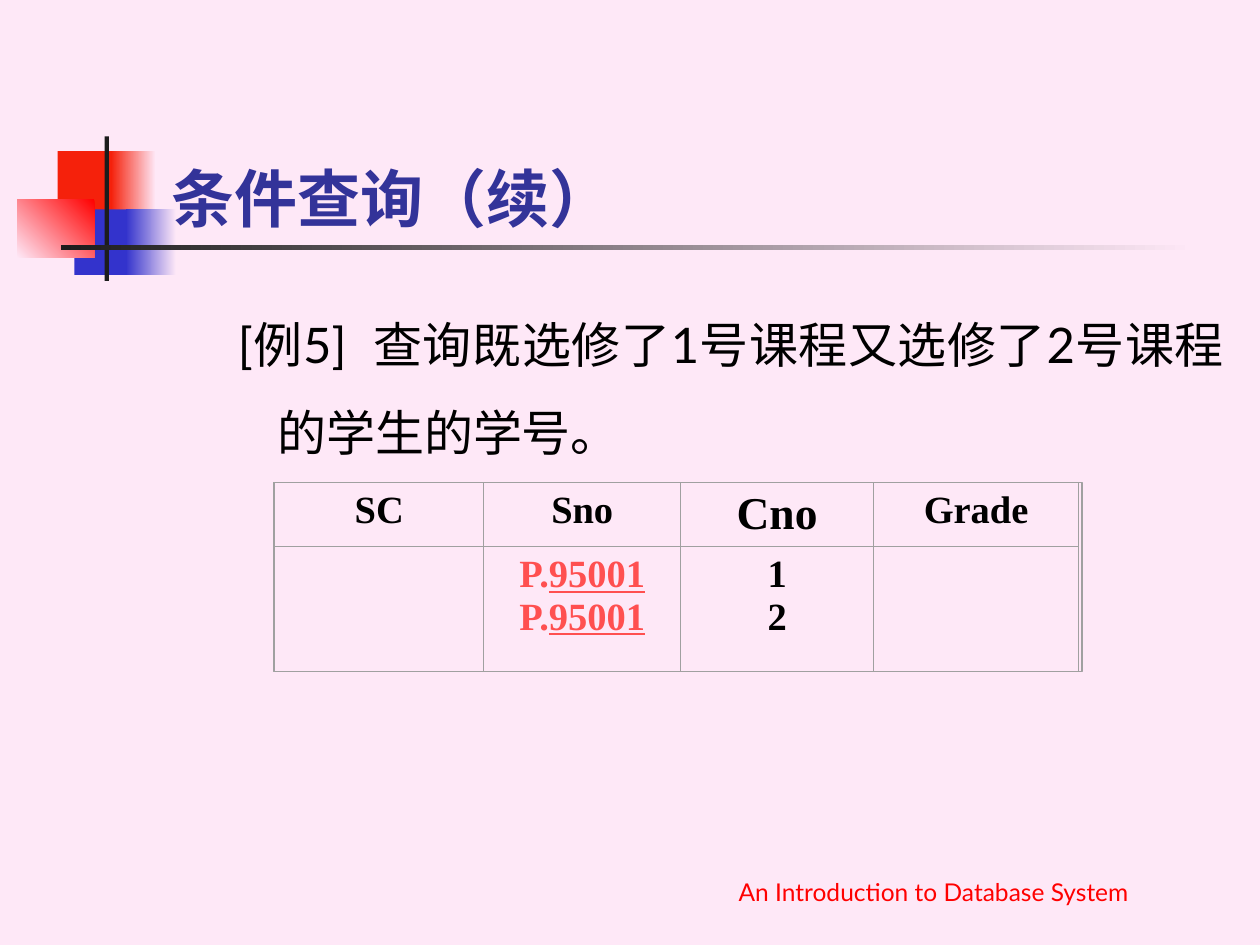
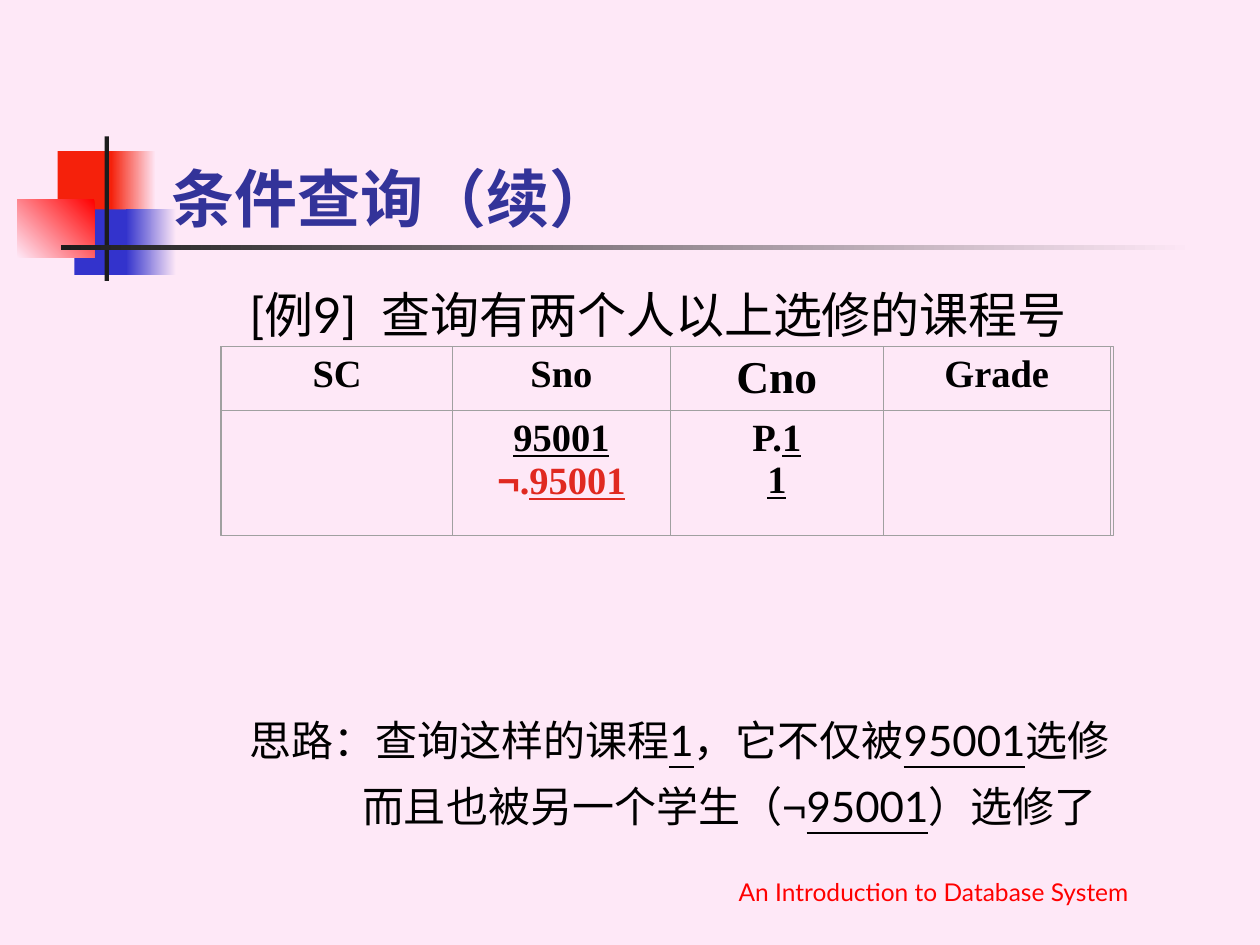
from lxml import etree
from pptx import Presentation
from pptx.dml.color import RGBColor
from pptx.enum.shapes import MSO_SHAPE
from pptx.enum.text import MSO_ANCHOR, PP_ALIGN
from pptx.oxml.ns import qn
from pptx.util import Pt

RECTANGLE = MSO_SHAPE.RECTANGLE
BOTTOM, TOP = MSO_ANCHOR.BOTTOM, MSO_ANCHOR.TOP
LEFT, CENTER, JUSTIFY = PP_ALIGN.LEFT, PP_ALIGN.CENTER, PP_ALIGN.JUSTIFY
TITLE_ONLY = 5

COLORS = {
    "background": "FEE8F7",
    "vermilion": "F5210B",
    "blue": "3333CC",
    "red": "FF0000",
    "bar": "1C1C1C",
    "title": "333399",
    "text": "000000",
    "grid": "A0A0A0",
    "coral": "FF5050",
    "negation": "E02920",
}
BODY_FONT, TABLE_FONT, SYMBOL_FONT = "Lato", "Times New Roman", "Arial"

EMBLEM = [
    (33, 86.4, 34.7, 37.4, ["vermilion"], 0),
    (63.4, 86.4, 25.6, 37.4, ["background", "vermilion"], 180),
    (42.5, 119.7, 33.4, 37.4, ["blue"], 0),
    (72, 119.7, 28.6, 37.4, ["background", "blue"], 180),
    (9.8, 113.8, 44.2, 33.4, ["red", "background"], 135),
    (59.8, 78, 2.5, 82.6, ["bar"], 0),
    (34.8, 140.2, 648, 2.5, ["background", "bar"], 180),
]

BODY_LEFT, BODY_TOP, BODY_WIDTH = 92.9, 159.1, 613.4
HANGING = -22.5
COLUMN_SHARES = (0.26, 0.245, 0.24, 0.255)
ROW_HEIGHTS = (36.7, 71.3)
HEADINGS = ("SC", "Sno", "Cno", "Grade")
UNDERLINE = {"underline": True}


def rgb(color):
    return RGBColor.from_string(COLORS[color])


def write_text(frame, paragraphs, font=BODY_FONT, size=28, color="text", bold=False,
               underline=False, align=LEFT, spacing=1, before=0, margin=0, indent=0):
    for position, pieces in enumerate(paragraphs):
        paragraph = frame.paragraphs[0] if position == 0 else frame.add_paragraph()
        paragraph.alignment = align
        paragraph.line_spacing = spacing
        paragraph.space_before = Pt(before)
        properties = paragraph._p.get_or_add_pPr()
        properties.set("marL", str(Pt(margin)))
        properties.set("indent", str(Pt(indent)))
        for piece in pieces:
            words, changes = (piece, {}) if isinstance(piece, str) else piece
            look = {"font": font, "color": color, "underline": underline, **changes}
            run = paragraph.add_run()
            run.text = words
            run.font.name = look["font"]
            run.font.size = Pt(size)
            run.font.bold = bold
            run.font.underline = look["underline"]
            run.font.color.rgb = rgb(look["color"])
            east_asian = etree.SubElement(run._r.get_or_add_rPr(), qn("a:ea"))
            east_asian.set("typeface", look["font"])


def add_text_box(slide, left, top, width, height, paragraphs, anchor=TOP, **text_format):
    frame = slide.shapes.add_textbox(Pt(left), Pt(top), Pt(width), Pt(height)).text_frame
    frame.word_wrap = True
    frame.vertical_anchor = anchor
    write_text(frame, paragraphs, **text_format)
    return frame


def add_block(slide, left, top, width, height, colors, angle):
    block = slide.shapes.add_shape(RECTANGLE, Pt(left), Pt(top), Pt(width), Pt(height))
    block.shadow.inherit = False
    block.line.fill.background()
    if len(colors) == 1:
        block.fill.solid()
        block.fill.fore_color.rgb = rgb(colors[0])
        return
    block.fill.gradient()
    block.fill.gradient_angle = 360 - angle
    for stop, color in zip(block.fill.gradient_stops, colors):
        stop.color.rgb = rgb(color)


def add_titled_slide(presentation, heading):
    slide = presentation.slides.add_slide(presentation.slide_layouts[TITLE_ONLY])
    for block in EMBLEM:
        add_block(slide, *block)
    title = slide.shapes.title
    title.left, title.top, title.width, title.height = Pt(90.7), Pt(48.2), Pt(613.4), Pt(90)
    title.text_frame.vertical_anchor = BOTTOM
    write_text(title.text_frame, [[heading]], size=36, color="title", bold=True)
    slide.shapes._spTree.append(title._element)
    add_text_box(slide, 365.8, 485.3, 335.5, 36, [["An Introduction to Database System"]],
                 anchor=BOTTOM, size=14, color="red", align=CENTER)
    return slide


def add_borders(cell):
    properties = cell._tc.get_or_add_tcPr()
    for position, side in enumerate(("a:lnL", "a:lnR", "a:lnT", "a:lnB")):
        border = etree.Element(qn(side), w=str(Pt(0.5)))
        fill = etree.SubElement(border, qn("a:solidFill"))
        etree.SubElement(fill, qn("a:srgbClr"), val=COLORS["grid"])
        properties.insert(position, border)


def add_query_table(slide, left, top, width, sno, cno, sno_color="text"):
    height = sum(ROW_HEIGHTS)
    table = slide.shapes.add_table(2, len(HEADINGS), Pt(left), Pt(top), Pt(width), Pt(height)).table
    table.first_row = table.horz_banding = False
    for column, share in zip(table.columns, COLUMN_SHARES):
        column.width = Pt(width * share)
    for row, row_height in zip(table.rows, ROW_HEIGHTS):
        row.height = Pt(row_height)
    for cell in table.iter_cells():
        cell.fill.background()
        cell.vertical_anchor = TOP
        cell.margin_bottom = 0
        add_borders(cell)

    def fill_cell(row, column, paragraphs, **text_format):
        write_text(table.cell(row, column).text_frame, paragraphs,
                   **{"font": TABLE_FONT, "size": 22, "bold": True, "align": CENTER, **text_format})

    for column, heading in enumerate(HEADINGS):
        fill_cell(0, column, [[heading]], size=26 if heading == "Cno" else 22)
    fill_cell(1, 1, sno, color=sno_color)
    fill_cell(1, 2, cno)

    frame = slide.shapes.add_shape(RECTANGLE, Pt(left - 0.7), Pt(top), Pt(width + 2.7), Pt(height))
    frame.shadow.inherit = False
    frame.fill.background()
    frame.line.color.rgb = rgb("grid")
    frame.line.width = Pt(0.88)


def build_both_courses_slide(presentation):
    slide = add_titled_slide(presentation, "条件查询（续）")
    add_text_box(slide, BODY_LEFT, BODY_TOP, BODY_WIDTH, 110,
                 [["[例5]  查询既选修了1号课程又选修了2号课程的学生的学号。"]],
                 align=JUSTIFY, spacing=1.5, margin=58.5, indent=HANGING)
    printed_student = ["P.", ("95001", UNDERLINE)]
    add_query_table(slide, 157, 275.8, 459.4, [printed_student, printed_student],
                    [["1"], ["2"]], sno_color="coral")


def build_shared_course_slide(presentation):
    slide = add_titled_slide(presentation, "条件查询（续）")
    add_text_box(slide, BODY_LEFT, BODY_TOP, BODY_WIDTH, 42,
                 [["[例9]  查询有两个人以上选修的课程号"]],
                 align=JUSTIFY, margin=65, indent=HANGING)
    student = ("95001", UNDERLINE)
    course = ("1", UNDERLINE)
    negated = {"color": "negation"}
    add_query_table(slide, 126.7, 198, 507.6,
                    [[student],
                     [("¬", {"font": SYMBOL_FONT, **negated}), (".", negated),
                      ("95001", {**UNDERLINE, **negated})]],
                    [["P.", course], [course]])
    reasoning = {"size": 24, "align": JUSTIFY, "spacing": 1.1, "before": 6}
    idea = add_text_box(slide, BODY_LEFT, 402, BODY_WIDTH, 80,
                        [["思路：查询这样的课程", course, "，它不仅被", student, "选修"]],
                        margin=65, indent=HANGING, **reasoning)
    write_text(idea_continuation(idea),
               [["而且也被另一个学生（", ("¬", {"font": SYMBOL_FONT}), student, "）选修了"]],
               margin=106.9, **reasoning)


class idea_continuation:
    def __init__(self, frame):
        self.paragraphs = [frame.add_paragraph()]


def main():
    presentation = Presentation()
    presentation.slide_width, presentation.slide_height = Pt(720), Pt(540)
    backdrop = presentation.slide_master.background.fill
    backdrop.solid()
    backdrop.fore_color.rgb = rgb("background")
    build_both_courses_slide(presentation)
    build_shared_course_slide(presentation)
    presentation.save("out.pptx")


if __name__ == "__main__":
    main()
